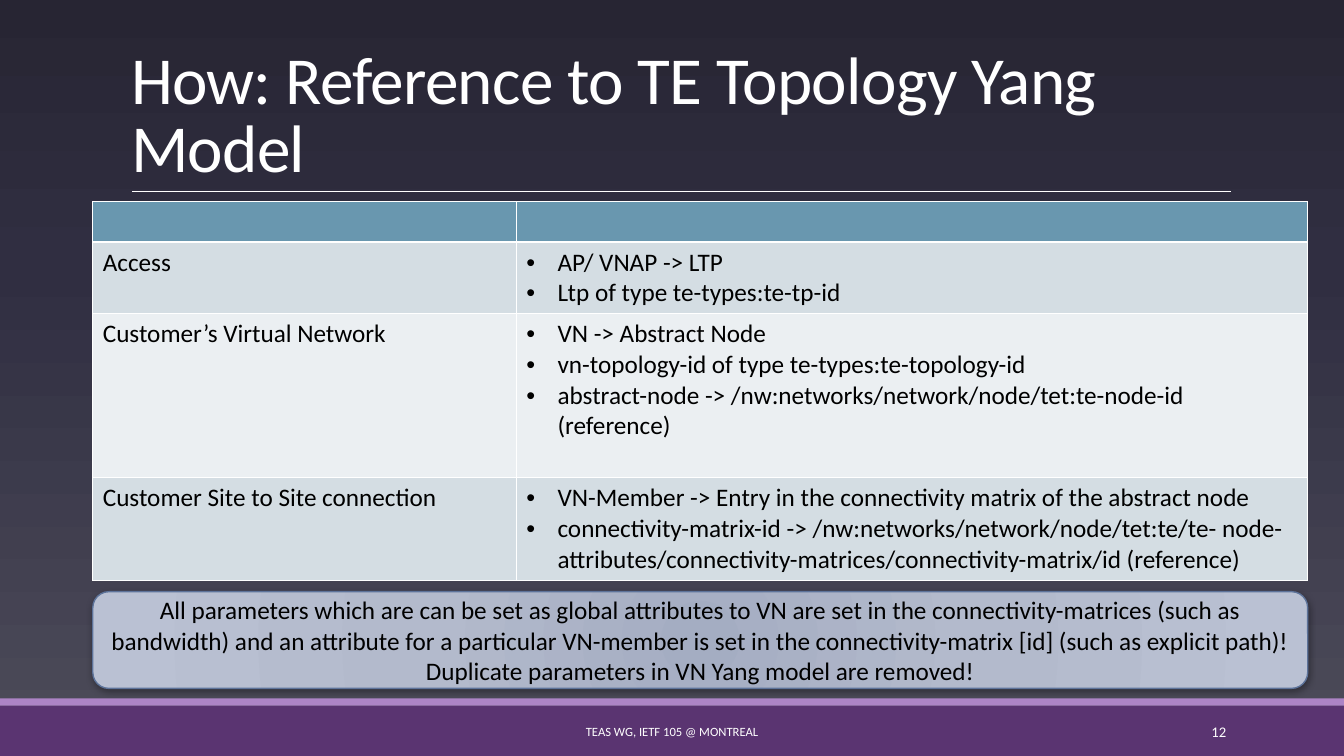
from pptx import Presentation
from pptx.dml.color import RGBColor
from pptx.enum.shapes import MSO_CONNECTOR, MSO_SHAPE
from pptx.enum.text import MSO_ANCHOR, MSO_AUTO_SIZE, PP_ALIGN
from pptx.oxml import parse_xml
from pptx.oxml.ns import nsdecls, qn
from pptx.util import Pt

PX = 9144  # 100 px to the inch
WIDE, HIGH = 1333, 750
WHITE, BLACK = "FFFFFF", "000000"
BANDS = ["D4DDE3", "EBEFF2"]
ROWS = [
    (71, "Access", ["AP/ VNAP -> LTP", "Ltp of type te-types:te-tp-id"]),
    (163, "Customer’s Virtual Network", [
        "VN -> Abstract Node",
        "vn-topology-id of type te-types:te-topology-id",
        "abstract-node -> /nw:networks/network/node/tet:te-node-id (reference)"]),
    (102, "Customer Site to Site connection", [
        "VN-Member -> Entry in the connectivity matrix of the abstract node",
        "connectivity-matrix-id -> /nw:networks/network/node/tet:te/te- node-"
        "attributes/connectivity-matrices/connectivity-matrix/id (reference)"]),
]
NOTE = [
    "All parameters which are can be set as global attributes to VN are set in the "
    "connectivity-matrices (such as bandwidth) and an attribute for a particular "
    "VN-member is set in the connectivity-matrix [id] (such as explicit path)!",
    "Duplicate parameters in VN Yang model are removed!",
]


def emu(*vals):
    return [v * PX for v in vals]


def hue(code):
    return RGBColor.from_string(code)


def put(obj, **vals):
    for key, val in vals.items():
        setattr(obj, key, val)


def write(frame, lines, size, tint, align=PP_ALIGN.LEFT, gap=None, dots=False):
    for i, line in enumerate(lines):
        para = frame.paragraphs[0] if i == 0 else frame.add_paragraph()
        put(para, text=line, alignment=align, line_spacing=gap)
        put(para.runs[0].font, name="Calibri", size=Pt(size), bold=False)
        para.runs[0].font.color.rgb = hue(tint)
        if dots:
            props = para._p.get_or_add_pPr()
            props.set("marL", str(31 * PX))
            props.set("indent", str(-31 * PX))
            props.append(parse_xml(f'<a:buFont {nsdecls("a")} typeface="Arial"/>'))
            props.append(parse_xml(f'<a:buChar {nsdecls("a")} char="•"/>'))


def blend(root, stops, shade):
    """Swap the gradient under root for one with these stops."""
    old = root.find(".//" + qn("a:gradFill"))
    marks = "".join(f'<a:gs pos="{at * 1000}"><a:srgbClr val="{code}"/></a:gs>'
                    for at, code in stops)
    new = parse_xml(f'<a:gradFill {nsdecls("a")} rotWithShape="1">'
                    f'<a:gsLst>{marks}</a:gsLst>{shade}</a:gradFill>')
    old.getparent().replace(old, new)


def bar(slide, box, tint):
    shape = slide.shapes.add_shape(MSO_SHAPE.RECTANGLE, *emu(*box))
    shape.shadow.inherit = False
    shape.fill.solid()
    shape.fill.fore_color.rgb = hue(tint)
    shape.line.fill.background()


def back(slide):
    slide.background.fill.gradient()
    blend(slide._element, [(0, "4D4C5A"), (65, "302E41"), (100, "272533")],
          '<a:lin ang="16200000" scaled="0"/>')


def head(slide, box):
    x, y, w, h = box
    # Rule under the title
    base = y + h
    rule = slide.shapes.add_connector(
        MSO_CONNECTOR.STRAIGHT, *emu(x + 11, base, x + w + 1, base))
    rule.line.color.rgb = hue(WHITE)
    rule.line.width = Pt(0.5)
    rule._element.spPr.append(parse_xml(f'<a:effectLst {nsdecls("a")}/>'))
    # Title text
    title = slide.shapes.title
    put(title, **dict(zip(("left", "top", "width", "height"), emu(*box))))
    frame = title.text_frame
    put(frame, word_wrap=True, auto_size=MSO_AUTO_SIZE.NONE,
        vertical_anchor=MSO_ANCHOR.BOTTOM)
    write(frame, ["How: Reference to TE Topology Yang Model"], 48, WHITE, gap=0.85)
    frame.paragraphs[0].runs[0]._r.get_or_add_rPr().set("spc", "-50")


def grid(slide, box):
    x, y, w, h = box
    top, left = 40, 420
    table = slide.shapes.add_table(len(ROWS) + 1, 2, *emu(x, y, w, h)).table
    for col, wide in zip(table.columns, (left, w - left)):
        col.width = wide * PX
    for row, high in zip(table.rows, [top] + [item[0] for item in ROWS]):
        row.height = high * PX
    for i, row in enumerate(table.rows):
        for cell in row.cells:
            cell.fill.solid()
            cell.fill.fore_color.rgb = hue(BANDS[(i - 1) % 2] if i else "6997AF")
    for i, (_, name, items) in enumerate(ROWS, 1):
        write(table.cell(i, 0).text_frame, [name], 18, BLACK)
        write(table.cell(i, 1).text_frame, items, 18, BLACK, dots=True)


def note(slide, box):
    shape = slide.shapes.add_shape(MSO_SHAPE.ROUNDED_RECTANGLE, *emu(*box))
    shape.fill.gradient()
    blend(shape._element, [(0, "A4ADC2"), (45, "B3BACC"), (100, "BAC1D3")],
          '<a:path path="circle"><a:fillToRect l="100000" t="100000" '
          'r="100000" b="100000"/></a:path>')
    shape.line.color.rgb = hue("5D739A")
    shape.line.width = Pt(1)
    # Soft shadow
    shape._element.spPr.append(parse_xml(
        f'<a:effectLst {nsdecls("a")}><a:outerShdw blurRad="{Pt(5)}" '
        f'dist="{Pt(1)}" dir="5400000" rotWithShape="0"><a:srgbClr val="{BLACK}">'
        '<a:alpha val="32000"/></a:srgbClr></a:outerShdw></a:effectLst>'))
    put(shape.text_frame, word_wrap=True, vertical_anchor=MSO_ANCHOR.MIDDLE)
    write(shape.text_frame, NOTE, 18, BLACK, PP_ALIGN.CENTER)


def foot(slide, box):
    x, y, w, h = box
    edge = 7
    bar(slide, (x, y + edge, w, h - edge), "5A3471")
    bar(slide, (x, y, w, edge), "AD84C6")
    labels = [(403, 527, "TEAS WG, IETF 105 @ MONTREAL", 9, PP_ALIGN.CENTER),
              (1083, 143, "12", 10.5, PP_ALIGN.RIGHT)]
    for left, wide, text, size, align in labels:
        label = slide.shapes.add_textbox(*emu(x + left, y + 13, wide, 40))
        put(label.text_frame, word_wrap=True, vertical_anchor=MSO_ANCHOR.MIDDLE)
        write(label.text_frame, [text], size, WHITE, align)


def main():
    deck = Presentation()
    put(deck, slide_width=WIDE * PX, slide_height=HIGH * PX)
    slide = deck.slides.add_slide(deck.slide_layouts[5])
    back(slide)
    foot(slide, (0, 693, WIDE, 57))
    head(slide, (120, 31, 1100, 159))
    grid(slide, (92, 200, 1205, 376))
    note(slide, (92, 587, 1205, 96))
    deck.save("out.pptx")


if __name__ == "__main__":
    main()
